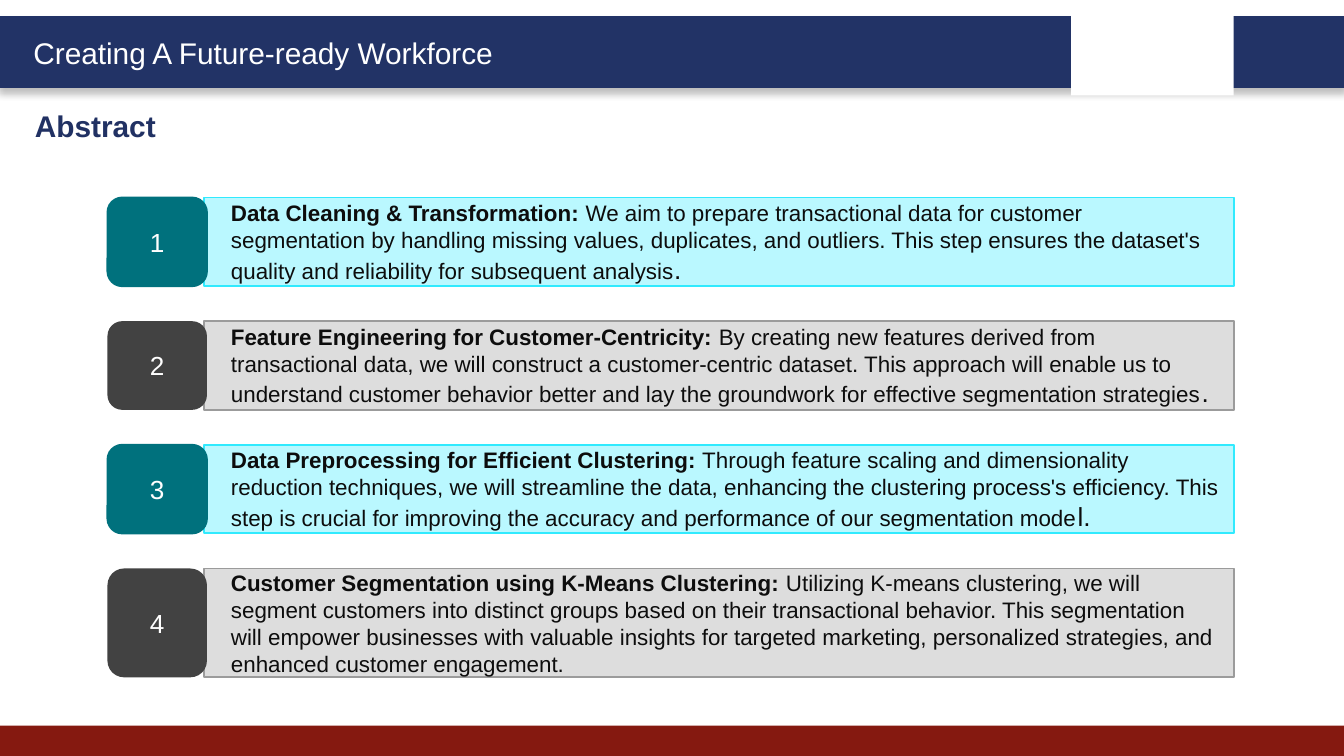
from lxml import etree
from pptx import Presentation
from pptx import util as u
from pptx.dml.color import RGBColor
from pptx.enum import shapes, text
from pptx.oxml import ns

NAVY, RED, WHITE, INK = "223366", "851910", "FFFFFF", "0D0D0D"
TEAL_STYLE = {"badge": "00717D", "badge_line": "00717D", "panel": "BAF8FF", "panel_line": "31EAFE"}
GREY_STYLE = {"badge": "424242", "badge_line": None, "panel": "DDDDDD", "panel_line": "9B9B9B"}

# Heading, body, larger ending, panel height
STEPS = [
    ("Data Cleaning & Transformation:",
     " We aim to prepare transactional data for customer segmentation by handling missing values, "
     "duplicates, and outliers. This step ensures the dataset's quality and reliability for "
     "subsequent analysis", ".", 0.66),
    ("Feature Engineering for Customer-Centricity:",
     " By creating new features derived from transactional data, we will construct a "
     "customer-centric dataset. This approach will enable us to understand customer behavior "
     "better and lay the groundwork for effective segmentation strategies", ".", 0.66),
    ("Data Preprocessing for Efficient Clustering:",
     " Through feature scaling and dimensionality reduction techniques, we will streamline the "
     "data, enhancing the clustering process's efficiency. This step is crucial for improving the "
     "accuracy and performance of our segmentation mode", "l.", 0.66),
    ("Customer Segmentation using K-Means Clustering:",
     " Utilizing K-means clustering, we will segment customers into distinct groups based on their "
     "transactional behavior. This segmentation will empower businesses with valuable insights for "
     "targeted marketing, personalized strategies, and enhanced customer engagement.", "", 0.81),
]


def color(hex_value):
    return RGBColor.from_string(hex_value)


class SlideBuilder:
    font_name = "Arial"

    def __init__(self, slide):
        self.slide = slide

    def format_run(self, run, size, hex_value, bold=False):
        run.font.name = self.font_name
        run.font.size = u.Pt(size)
        run.font.bold = bold
        run.font.color.rgb = color(hex_value)

    def box(self, kind, left, top, width, height, fill, line=None, line_width=1):
        shape = self.slide.shapes.add_shape(
            kind, u.Inches(left), u.Inches(top), u.Inches(width), u.Inches(height))
        shape.shadow.inherit = False
        shape.fill.solid()
        shape.fill.fore_color.rgb = color(fill)
        if line:
            shape.line.color.rgb = color(line)
            shape.line.width = u.Pt(line_width)
        else:
            shape.line.fill.background()
        return shape

    def rectangle(self, *args, **kwargs):
        return self.box(shapes.MSO_SHAPE.RECTANGLE, *args, **kwargs)

    def drop_shadow(self, shape):
        effects = shape._element.spPr.find(ns.qn("a:effectLst"))
        shadow = etree.SubElement(effects, ns.qn("a:outerShdw"), blurRad=str(u.Pt(4)),
                                  dist=str(u.Pt(3)), dir="5400000", algn="t", rotWithShape="0")
        tone = etree.SubElement(shadow, ns.qn("a:srgbClr"), val="000000")
        etree.SubElement(tone, ns.qn("a:alpha"), val="25000")

    def title(self, wording, left, top, width, height):
        shape = self.slide.shapes.title
        shape.left, shape.top = u.Inches(left), u.Inches(top)
        shape.width, shape.height = u.Inches(width), u.Inches(height)
        self.fill_line(shape.text_frame, wording, 16, "213163", bold=True)

    def label(self, wording, left, top, width, height, size, hex_value):
        shape = self.slide.shapes.add_textbox(
            u.Inches(left), u.Inches(top), u.Inches(width), u.Inches(height))
        self.fill_line(shape.text_frame, wording, size, hex_value)

    def fill_line(self, frame, wording, size, hex_value, bold=False):
        frame.text = wording
        frame.word_wrap = True
        frame.auto_size = text.MSO_AUTO_SIZE.NONE
        frame.vertical_anchor = text.MSO_ANCHOR.TOP
        paragraph = frame.paragraphs[0]
        paragraph.alignment = text.PP_ALIGN.LEFT
        self.format_run(paragraph.runs[0], size, hex_value, bold)

    def panel(self, top, height, parts, style):
        shape = self.rectangle(1.52, top, 7.66, height, style["panel"], style["panel_line"])
        frame = shape.text_frame
        frame.word_wrap = True
        frame.vertical_anchor = text.MSO_ANCHOR.MIDDLE
        paragraph = frame.paragraphs[0]
        paragraph.alignment = text.PP_ALIGN.LEFT
        paragraph._p.get_or_add_pPr().set("marL", str(u.Inches(0.1)))
        for wording, size, bold in zip(parts, (12, 12, 14), (True, False, False)):
            if wording:
                run = paragraph.add_run()
                run.text = wording
                self.format_run(run, size, INK, bold)

    def badge(self, top, height, number, style):
        shape = self.box(shapes.MSO_SHAPE.ROUNDED_RECTANGLE, 0.8, top, 0.74, height,
                         style["badge"], style["badge_line"])
        shape.adjustments[0] = 0.167
        frame = shape.text_frame
        frame.text = str(number)
        frame.vertical_anchor = text.MSO_ANCHOR.MIDDLE
        frame.paragraphs[0].alignment = text.PP_ALIGN.CENTER
        self.format_run(frame.paragraphs[0].runs[0], 14, WHITE)


def main():
    # Widescreen slide, 16 to 9
    presentation = Presentation()
    presentation.slide_width = u.Inches(10)
    presentation.slide_height = presentation.slide_width * 9 // 16
    builder = SlideBuilder(presentation.slides.add_slide(presentation.slide_layouts[5]))

    # Header and footer bands
    header = builder.rectangle(0, 0.13, 10, 0.51, NAVY, NAVY, line_width=2)
    builder.drop_shadow(header)
    builder.rectangle(0, 5.4, 10, 0.23, RED)
    builder.rectangle(7.97, 0.07, 1.21, 0.64, WHITE)
    builder.label("Creating A Future-ready Workforce", 0.15, 0.21, 3.78, 0.37, 16, WHITE)

    # Title
    builder.title("Abstract", 0.16, 0.75, 4.84, 0.37)

    # Numbered steps, with alternating colours and equal gaps
    top, gap = 1.47, 0.26
    for number, (*parts, height) in enumerate(STEPS, start=1):
        style = TEAL_STYLE if number % 2 else GREY_STYLE
        builder.panel(top, height, parts, style)
        builder.badge(top, height, number, style)
        top += height + gap

    presentation.save("out.pptx")


if __name__ == "__main__":
    main()
